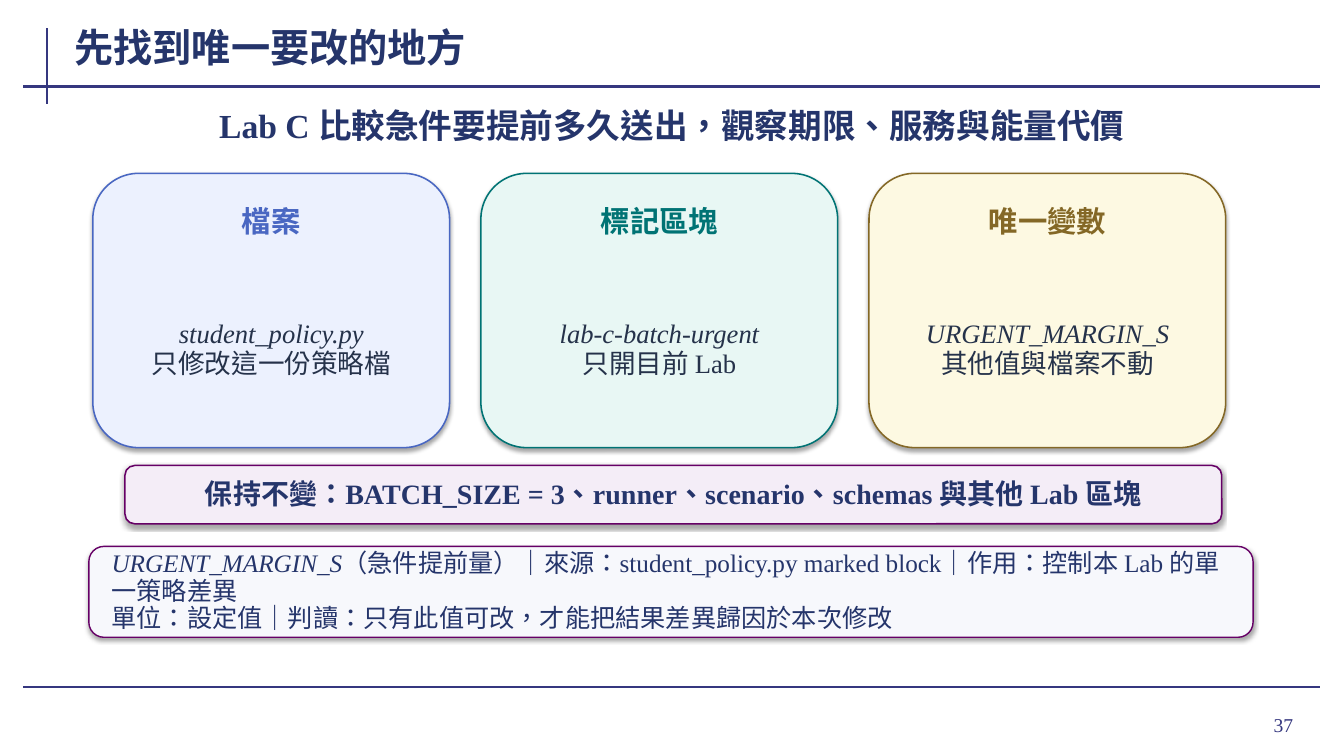
from lxml.etree import SubElement as Sub
from pptx import Presentation
from pptx.dml.color import RGBColor as RGB
from pptx.enum.lang import MSO_LANGUAGE_ID as Lang
from pptx.enum.shapes import MSO_CONNECTOR as Link, MSO_SHAPE as Shape
from pptx.enum.text import MSO_ANCHOR as Anchor, PP_ALIGN as Align
from pptx.oxml.ns import qn
from pptx.util import Cm, Pt

RULE = RGB(0x35, 0x37, 0x7F)
NAVY = RGB(0x25, 0x35, 0x6B)
INK = RGB(0x25, 0x32, 0x4A)
BLUE = RGB(0x49, 0x67, 0xC2)
SKY = RGB(0xEC, 0xF1, 0xFE)
TEAL = RGB(0x00, 0x73, 0x74)
MINT = RGB(0xE8, 0xF7, 0xF4)
GOLD = RGB(0x84, 0x68, 0x26)
CREAM = RGB(0xFD, 0xF9, 0xE2)
PLUM = RGB(0x66, 0x00, 0x66)
LILAC = RGB(0xF4, 0xED, 0xF7)
PALE = RGB(0xF7, 0xF8, 0xFC)

CARDS = [
    ("檔案", "student_policy.py", "只修改這一份策略檔", BLUE, SKY),
    ("標記區塊", "lab-c-batch-urgent", "只開目前 Lab", TEAL, MINT),
    ("唯一變數", "URGENT_MARGIN_S", "其他值與檔案不動", GOLD, CREAM),
]
NOTE = [
    [("URGENT_MARGIN_S", True),
     ("（急件提前量）｜來源：student_policy.py marked block｜作用：控制本 Lab 的單一策略差異", False)],
    [("單位：設定值｜判讀：只有此值可改，才能把結果差異歸因於本次修改", False)],
]


def write(shape, lines, size, tint, bold=False, align=Align.CENTER, space=1.0, pad=(0.05, 0.03)):
    frame = shape.text_frame
    side, edge = map(Cm, pad)
    box = {"word_wrap": True, "vertical_anchor": Anchor.MIDDLE,
           "margin_left": side, "margin_right": side,
           "margin_top": edge, "margin_bottom": edge}
    for key, val in box.items():
        setattr(frame, key, val)
    for i, line in enumerate(lines):
        para = frame.add_paragraph() if i else frame.paragraphs[0]
        para.alignment = align
        para.line_spacing = space
        for text, slant in line:
            run = para.add_run()
            run.text = text
            look = {"name": "Times New Roman", "size": Pt(size), "bold": bold,
                    "italic": slant, "language_id": Lang.TRADITIONAL_CHINESE}
            for key, val in look.items():
                setattr(run.font, key, val)
            run.font.color.rgb = tint


def label(slide, spot, lines, size, tint, **form):
    write(slide.shapes.add_textbox(*map(Cm, spot)), lines, size, tint, **form)


def panel(slide, spot, fill, edge, width=1.1):
    shape = slide.shapes.add_shape(Shape.ROUNDED_RECTANGLE, *map(Cm, spot))
    shape.shadow.inherit = False
    shape.fill.solid()
    shape.fill.fore_color.rgb = fill
    shape.line.color.rgb = edge
    shape.line.width = Pt(width)
    glow = Sub(shape.element.spPr.find(qn("a:effectLst")), qn("a:outerShdw"),
               blurRad=str(Pt(3.1)), dist=str(Pt(1.8)), dir="5400000",
               algn="ctr", rotWithShape="0")
    shade = Sub(glow, qn("a:srgbClr"), val="000000")
    Sub(shade, qn("a:alpha"), val="35000")
    return shape


def rule(slide, *ends):
    line = slide.shapes.add_connector(Link.STRAIGHT, *map(Cm, ends))
    line.line.color.rgb = RULE
    line.line.width = Pt(1.5)
    Sub(line.element.spPr, qn("a:effectLst"))


def card(slide, left, head, name, text, tint, fill):
    panel(slide, (left, 4.37, 8.99, 6.91), fill, tint)
    label(slide, (left + 0.41, 4.88, 8.18, 1.47), [[(head, False)]], 21, tint,
          bold=True, space=0.92, pad=(0.08, 0.03))
    label(slide, (left + 0.46, 6.86, 8.08, 3.91), [[(name, True)], [(text, False)]],
          19, INK, space=0.94, pad=(0.13, 0.03))


def main():
    deck = Presentation()
    deck.slide_width, deck.slide_height = Cm(33.87), Cm(19.05)
    slide = deck.slides.add_slide(deck.slide_layouts[6])

    rule(slide, 1.19, 0.71, 1.19, 2.62)
    for top in (2.18, 17.32):
        rule(slide, 0.58, top, 33.27, top)
    label(slide, (30.38, 17.6, 2.46, 1.32), [[("37", False)]], 14, RULE,
          align=Align.RIGHT, pad=(0.25, 0.13))
    label(slide, (1.83, 0.51, 26.29, 1.35), [[("先找到唯一要改的地方", False)]], 28, NAVY,
          bold=True, align=Align.LEFT, pad=(0.05, 0))
    label(slide, (2.39, 2.49, 29.08, 1.32),
          [[("Lab C 比較急件要提前多久送出，觀察期限、服務與能量代價", False)]], 24, NAVY, bold=True)

    for i, item in enumerate(CARDS):
        card(slide, 2.34 + 9.78 * i, *item)

    fixed = panel(slide, (3.15, 11.73, 27.64, 1.47), LILAC, PLUM)
    write(fixed, [[("保持不變：BATCH_SIZE = 3、runner、scenario、schemas 與其他 Lab 區塊", False)]],
          20, NAVY, bold=True, space=0.95, pad=(0.3, 0.1))
    note = panel(slide, (2.24, 13.77, 29.34, 2.29), PALE, PLUM, 1)
    write(note, NOTE, 18, NAVY, align=Align.LEFT, space=0.9, pad=(0.46, 0.08))

    deck.save("out.pptx")


if __name__ == "__main__":
    main()
